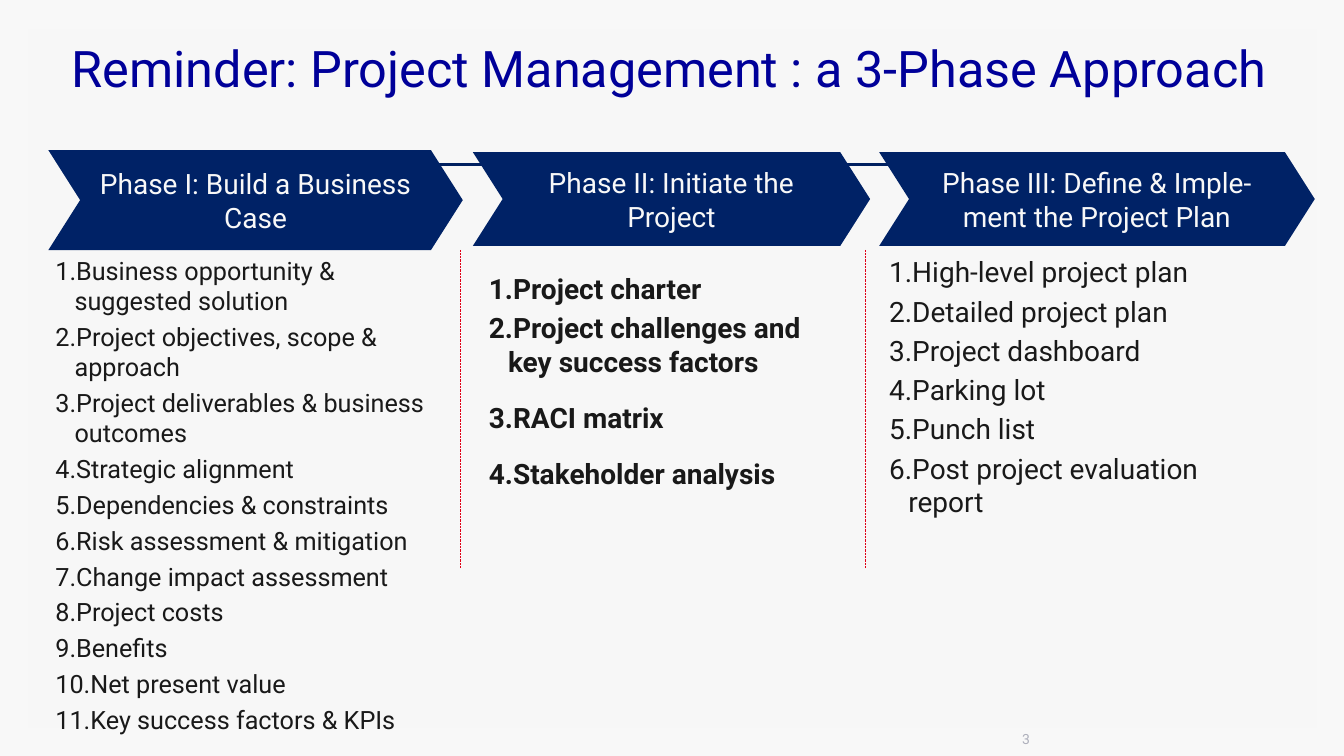
from dataclasses import dataclass

import lxml.etree
import pptx
import pptx.dml.color
import pptx.enum.dml
import pptx.enum.shapes
import pptx.enum.text
import pptx.oxml.ns
import pptx.util

PX = 9144  # 100 px to the inch
ANCHOR = pptx.enum.text.MSO_ANCHOR
ALIGN = pptx.enum.text.PP_ALIGN
AUTO_SIZE = pptx.enum.text.MSO_AUTO_SIZE


@dataclass(frozen=True)
class Theme:
    font: str = "Roboto"
    background: str = "F8F8F8"
    panel: str = "F7F7F7"
    rule: str = "002060"
    title: str = "000099"
    chevron: str = "002266"
    chevron_text: str = "F8F8F8"
    body: str = "191919"
    divider: str = "E00016"
    page: str = "ADAFBB"
    title_size: int = 36
    phase_size: int = 20
    page_size: int = 10


@dataclass(frozen=True)
class Box:
    left: int
    top: int
    width: int
    height: int

    def emu(self) -> tuple[int, ...]:
        return tuple(value * PX for value in (self.left, self.top, self.width, self.height))


@dataclass(frozen=True)
class Phase:
    heading: str
    chevron: Box
    list_box: Box
    items: tuple[str, ...]
    size: int = 20
    bold: bool = False
    left_inset: int = 10
    wide_items: tuple[int, ...] = ()  # items set at 1.5 line spacing


THEME = Theme()
DIVIDERS = (457, 858)
PHASES = (
    Phase("Phase I: Build a Business Case", Box(48, 149, 411, 99), Box(55, 248, 390, 490),
          ("Business opportunity & suggested solution",
           "Project objectives, scope & approach",
           "Project deliverables & business outcomes",
           "Strategic alignment",
           "Dependencies & constraints",
           "Risk assessment & mitigation",
           "Change impact assessment",
           "Project costs",
           "Benefits",
           "Net present value",
           "Key success factors & KPIs"),
          size=18, left_inset=0),
    Phase("Phase II: Initiate the Project", Box(469, 151, 394, 93), Box(475, 248, 371, 342),
          ("Project charter",
           "Project challenges and key success factors",
           "RACI matrix",
           "Stakeholder analysis"),
          bold=True, wide_items=(0, 2, 3)),
    Phase("Phase III: Define & Imple-ment the Project Plan", Box(872, 151, 432, 93),
          Box(872, 248, 377, 322),
          ("High-level project plan",
           "Detailed project plan",
           "Project dashboard",
           "Parking lot",
           "Punch list",
           "Post project evaluation report")),
)


def rgb(color: str) -> pptx.dml.color.RGBColor:
    return pptx.dml.color.RGBColor.from_string(color)


def set_font(paragraph, size: int, color: str, bold: bool = False) -> None:
    font = paragraph.font
    font.name, font.size, font.bold = THEME.font, pptx.util.Pt(size), bold
    font.color.rgb = rgb(color)


def set_frame(frame, anchor, left: int = 10, top: int = 5, right: int = 10, bottom: int = 5) -> None:
    frame.word_wrap = True
    frame.vertical_anchor = anchor
    frame.margin_left, frame.margin_top = left * PX, top * PX
    frame.margin_right, frame.margin_bottom = right * PX, bottom * PX


def add_filled(slide, preset, box: Box, color: str):
    shape = slide.shapes.add_shape(preset, *box.emu())
    shape.shadow.inherit = False
    shape.fill.solid()
    shape.fill.fore_color.rgb = rgb(color)
    shape.line.fill.background()
    return shape


def add_line(slide, start: tuple[int, int], end: tuple[int, int], color: str, width: float):
    points = (value * PX for value in start + end)
    line = slide.shapes.add_connector(pptx.enum.shapes.MSO_CONNECTOR.STRAIGHT, *points)
    line.line.color.rgb = rgb(color)
    line.line.width = pptx.util.Pt(width)
    lxml.etree.SubElement(line.element.spPr, pptx.oxml.ns.qn("a:effectLst"))
    return line


def number_paragraph(paragraph) -> None:
    properties = paragraph._p.get_or_add_pPr()
    properties.set("marL", str(19 * PX))
    properties.set("indent", str(-19 * PX))
    numbering = lxml.etree.SubElement(properties, pptx.oxml.ns.qn("a:buAutoNum"))
    numbering.set("type", "arabicPeriod")
    # Numbering must precede the default run properties
    properties.find(pptx.oxml.ns.qn("a:defRPr")).addprevious(numbering)


def add_chevron(slide, phase: Phase) -> None:
    shape = add_filled(slide, pptx.enum.shapes.MSO_SHAPE.CHEVRON, phase.chevron, THEME.chevron)
    shape.adjustments[0] = 0.318
    set_frame(shape.text_frame, ANCHOR.MIDDLE, left=8, right=8)
    paragraph = shape.text_frame.paragraphs[0]
    paragraph.text = phase.heading
    paragraph.alignment = ALIGN.CENTER
    paragraph.space_before = paragraph.space_after = pptx.util.Pt(6)
    set_font(paragraph, THEME.phase_size, THEME.chevron_text)


def add_list(slide, phase: Phase) -> None:
    frame = slide.shapes.add_textbox(*phase.list_box.emu()).text_frame
    set_frame(frame, ANCHOR.TOP, left=phase.left_inset)
    frame.auto_size = AUTO_SIZE.SHAPE_TO_FIT_TEXT
    frame.text = "\n".join(phase.items)
    for index, paragraph in enumerate(frame.paragraphs):
        paragraph.space_before = paragraph.space_after = pptx.util.Pt(2)
        if index in phase.wide_items:
            paragraph.line_spacing = 1.5
        set_font(paragraph, phase.size, THEME.body, phase.bold)
        number_paragraph(paragraph)


def main() -> None:
    presentation = pptx.Presentation()
    presentation.slide_width, presentation.slide_height = 1333 * PX, 750 * PX
    slide = presentation.slides.add_slide(presentation.slide_layouts[5])
    slide.background.fill.solid()
    slide.background.fill.fore_color.rgb = rgb(THEME.background)

    # Title, with the panel moved behind it
    title = slide.shapes.title
    title.left, title.top, title.width, title.height = Box(61, 29, 1211, 119).emu()
    set_frame(title.text_frame, ANCHOR.TOP, top=8)
    title.text_frame.auto_size = AUTO_SIZE.NONE
    heading = title.text_frame.paragraphs[0]
    heading.text = "Reminder: Project Management : a 3-Phase Approach"
    heading.alignment = ALIGN.LEFT
    set_font(heading, THEME.title_size, THEME.title)
    panel = add_filled(slide, pptx.enum.shapes.MSO_SHAPE.RECTANGLE,
                       Box(28, 29, 1278, 693), THEME.panel)
    title.element.addprevious(panel.element)

    # Rule behind the chevrons
    add_line(slide, (66, 163), (1267, 163), THEME.rule, 2)

    # Phases and the dividers between them
    for phase in PHASES:
        add_chevron(slide, phase)
        add_list(slide, phase)
    for x in DIVIDERS:
        divider = add_line(slide, (x, 248), (x, 563), THEME.divider, 0.5)
        divider.line.dash_style = pptx.enum.dml.MSO_LINE.ROUND_DOT

    # Page number
    page = slide.shapes.add_textbox(*Box(1004, 725, 300, 21).emu())
    set_frame(page.text_frame, ANCHOR.MIDDLE, top=0, right=0)
    page.text_frame.text = "3"
    set_font(page.text_frame.paragraphs[0], THEME.page_size, THEME.page)

    presentation.save("out.pptx")


if __name__ == "__main__":
    main()
